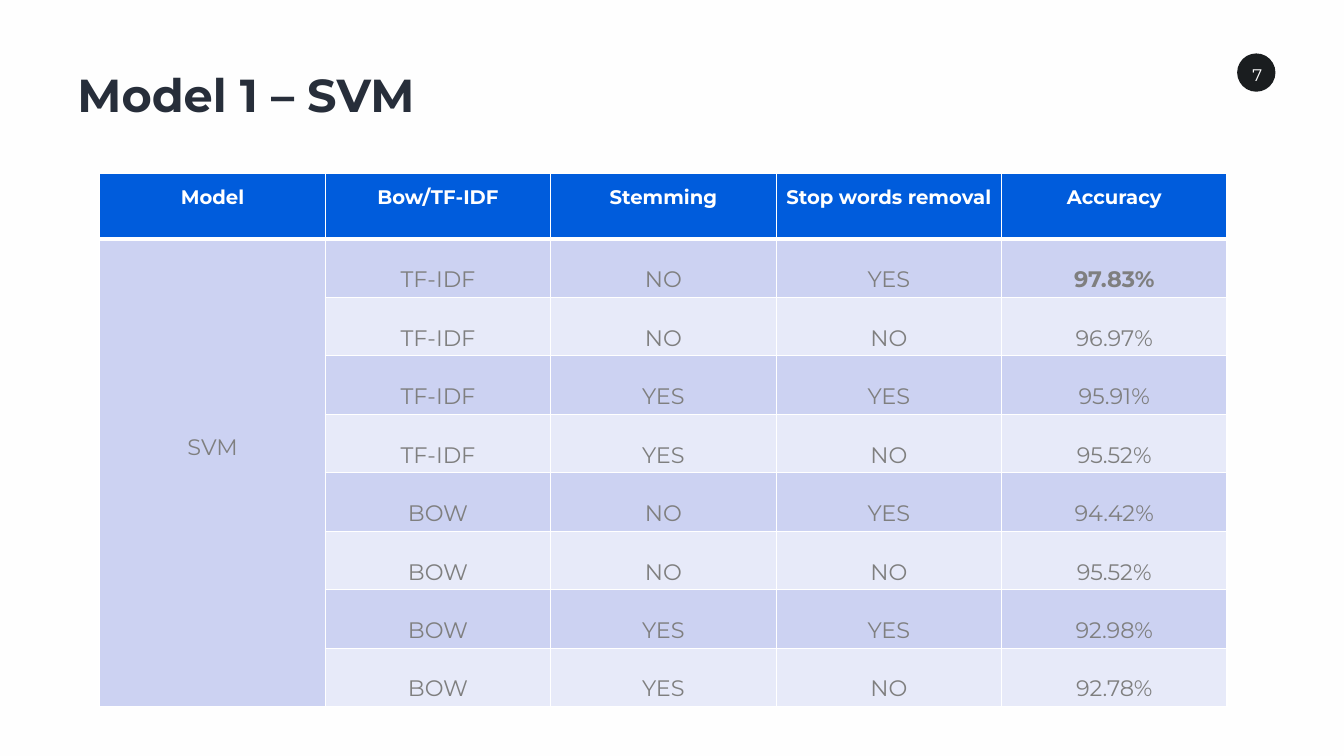
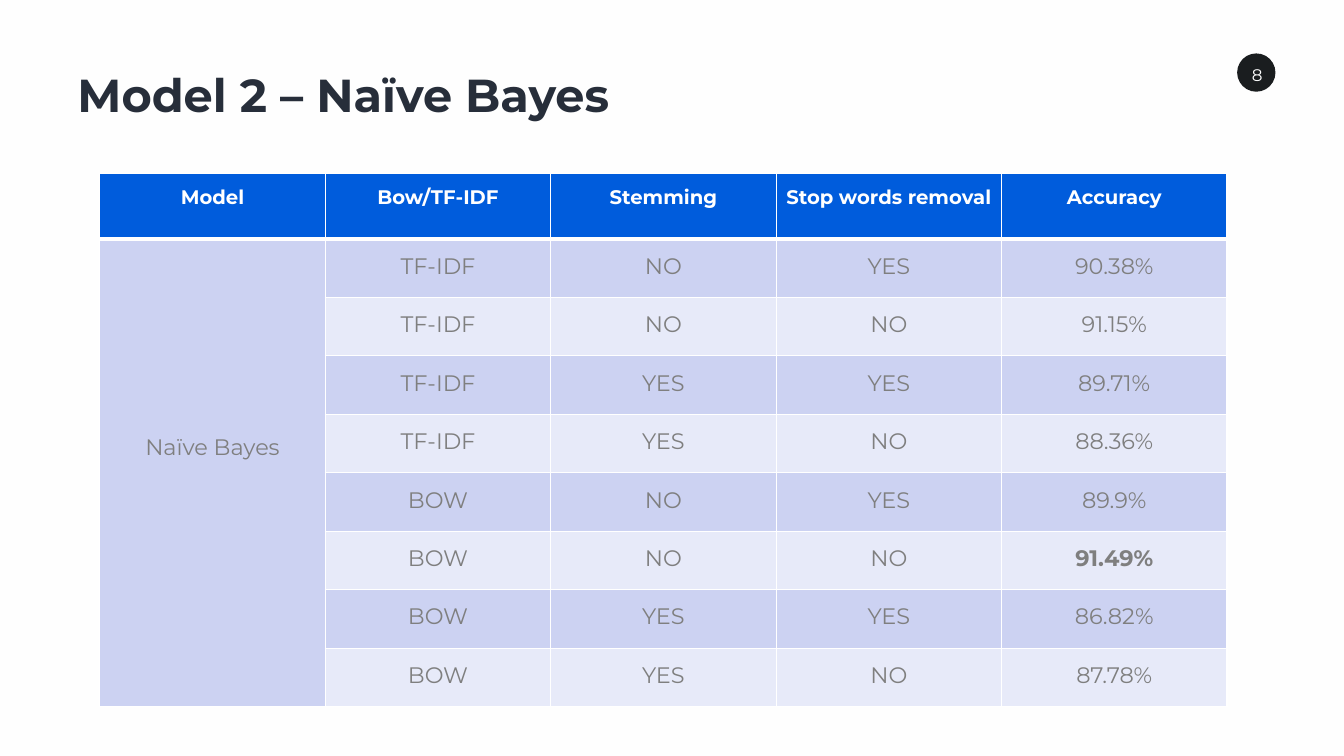
from itertools import product

from pptx import Presentation
from pptx import util as u
from pptx.dml.color import RGBColor
from pptx.enum import shapes, text
from pptx.oxml import parse_xml
from pptx.oxml.ns import nsdecls

FONT = "Montserrat"
WHITE, PAPER, BLACK, NAVY = "FFFFFF", "FEFEFE", "1A1D1F", "272E3A"
BLUE, GREY, BANDS = "005CDC", "7F7F7F", ("CCD2F2", "E7EAF9")

HEADINGS = ("Model", "Bow/TF-IDF", "Stemming", "Stop words removal", "Accuracy")
SETTINGS = list(product(("TF-IDF", "BOW"), ("NO", "YES"), ("YES", "NO")))
TABLE_WIDTH, HEADER_HEIGHT, ROW_HEIGHT = 11.18, 0.65, 0.58

# page number, model, line spacing of the rows, accuracy for each setting
MODELS = (
    (7, "SVM", 2.0, (97.83, 96.97, 95.91, 95.52, 94.42, 95.52, 92.98, 92.78)),
    (8, "Naïve Bayes", 1.5, (90.38, 91.15, 89.71, 88.36, 89.9, 91.49, 86.82, 87.78)),
)


def write(frame, words, size=16, color=GREY, bold=False, align=text.PP_ALIGN.CENTER,
          spacing=None):
    para = frame.paragraphs[0]
    para.alignment = align
    para.line_spacing = spacing
    span = para.add_run()
    span.text = words
    span.font.name = FONT
    span.font.size = u.Pt(size)
    span.font.bold = bold
    span.font.color.rgb = RGBColor.from_string(color)


def style_cell(cell, fill, bottom=1):
    """Set narrow margins, white borders (bottom width in points) and the fill."""
    cell.margin_left = cell.margin_right = u.Inches(0.07)
    cell.margin_top = cell.margin_bottom = 0
    for side, width in (("L", 1), ("R", 1), ("T", 1), ("B", bottom)):
        cell._tc.get_or_add_tcPr().append(parse_xml(
            f'<a:ln{side} {nsdecls("a")} w="{u.Pt(width)}"><a:solidFill>'
            f'<a:srgbClr val="{WHITE}"/></a:solidFill></a:ln{side}>'))
    cell.fill.solid()
    cell.fill.fore_color.rgb = RGBColor.from_string(fill)


deck = Presentation()
deck.slide_width, deck.slide_height = u.Inches(13.33), u.Inches(7.5)
backdrop = deck.slide_master.background.fill
backdrop.solid()
backdrop.fore_color.rgb = RGBColor.from_string(PAPER)

for order, (number, model, spacing, accuracies) in enumerate(MODELS, start=1):
    page = deck.slides.add_slide(deck.slide_layouts[6])

    # Page number on its dot
    dot = page.shapes.add_shape(shapes.MSO_SHAPE.OVAL, u.Inches(12.27), u.Inches(0.53),
                                u.Inches(0.38), u.Inches(0.38))
    dot.shadow.inherit = False
    dot.fill.solid()
    dot.fill.fore_color.rgb = RGBColor.from_string(BLACK)
    dot.line.fill.background()
    box = page.shapes.add_textbox(u.Inches(12.31), u.Inches(0.54),
                                  u.Inches(0.32), u.Inches(0.4))
    frame = box.text_frame
    frame.word_wrap = False
    frame.margin_left = frame.margin_right = u.Inches(0.1)
    frame.margin_top = frame.margin_bottom = u.Inches(0.1)
    write(frame, str(number), size=12, color=PAPER)

    # Title
    box = page.shapes.add_textbox(u.Inches(0.67), u.Inches(0.61),
                                  u.Inches(10), u.Inches(0.66))
    box.text_frame.word_wrap = True
    write(box.text_frame, f"Model {order} – {model}", size=33, color=NAVY, bold=True,
          align=text.PP_ALIGN.LEFT)

    # Results table
    table = page.shapes.add_table(
        len(SETTINGS) + 1, len(HEADINGS), u.Inches(0.99), u.Inches(1.72),
        u.Inches(TABLE_WIDTH), u.Inches(HEADER_HEIGHT + ROW_HEIGHT * len(SETTINGS))).table
    table.horz_banding = False
    for row in table.rows:
        row.height = u.Inches(ROW_HEIGHT)
    table.rows[0].height = u.Inches(HEADER_HEIGHT)

    for column, heading in enumerate(HEADINGS):
        cell = table.cell(0, column)
        style_cell(cell, BLUE, bottom=3)
        write(cell.text_frame, heading, size=14, color=WHITE, bold=True, spacing=1.5)

    model_cell = table.cell(1, 0)
    model_cell.merge(table.cell(len(SETTINGS), 0))
    style_cell(model_cell, BANDS[0])
    model_cell.vertical_anchor = text.MSO_ANCHOR.MIDDLE
    model_cell.margin_bottom = u.Inches(0.5)
    write(model_cell.text_frame, model)

    for index, (setting, accuracy) in enumerate(zip(SETTINGS, accuracies)):
        for column, words in enumerate((*setting, f"{accuracy}%"), start=1):
            cell = table.cell(index + 1, column)
            style_cell(cell, BANDS[index % 2])
            best = column == len(HEADINGS) - 1 and accuracy == max(accuracies)
            write(cell.text_frame, words, bold=best, spacing=spacing)

deck.save("out.pptx")
